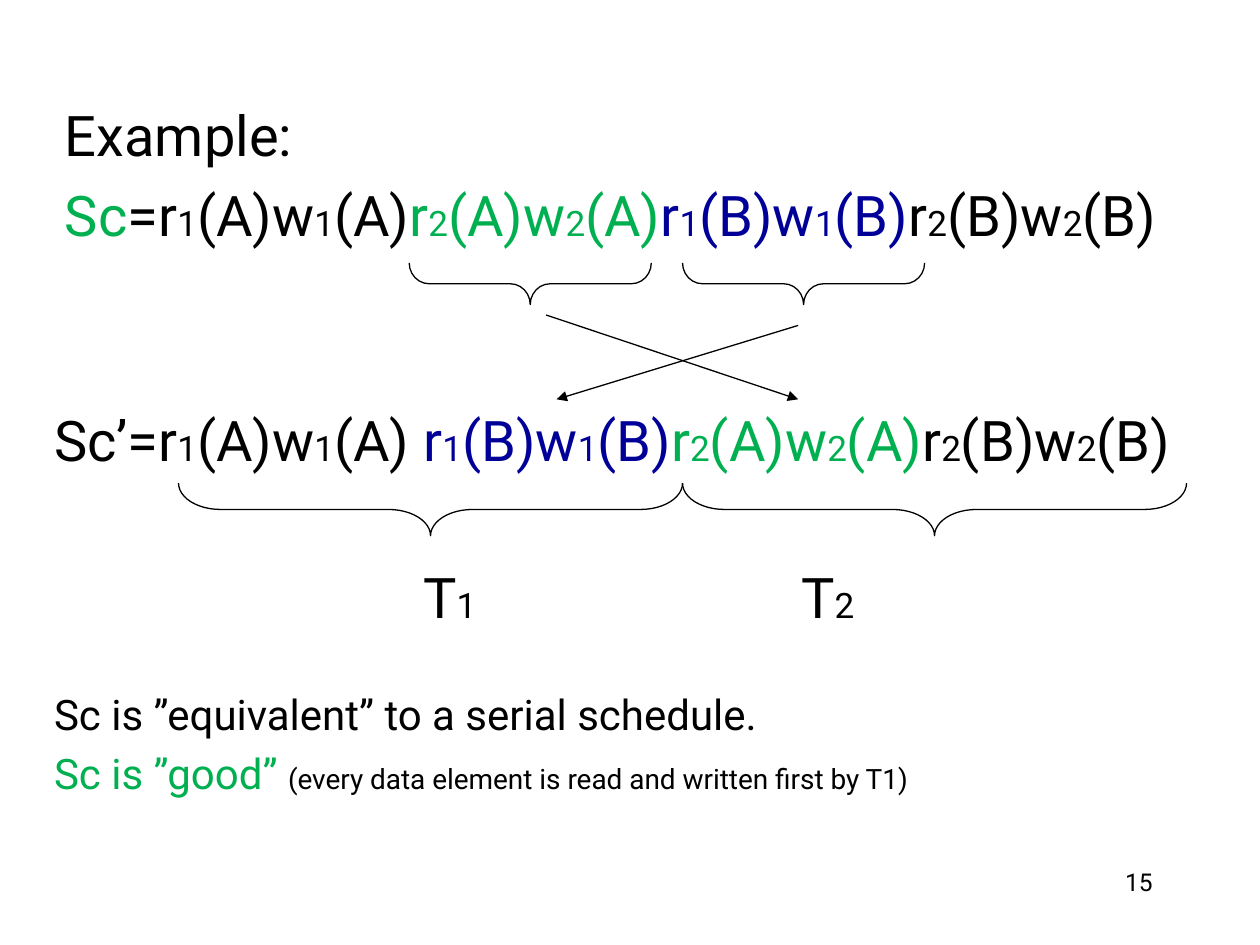
from dataclasses import dataclass

from lxml.etree import SubElement
from pptx import Presentation
from pptx.dml.color import RGBColor as Color
from pptx.enum.shapes import MSO_CONNECTOR as Connector, MSO_SHAPE as Shape
from pptx.enum.text import MSO_ANCHOR as Anchor, PP_ALIGN as Align
from pptx.oxml.ns import qn
from pptx.util import Cm, Pt


@dataclass(frozen=True)
class Theme:
    font: str = "Roboto"
    black: str = "000000"
    green: str = "00B050"
    blue: str = "000099"
    formula: int = 32
    index: int = 20
    body: int = 24
    remark: int = 16
    number: int = 14
    line: float = 0.75
    hanging: float = 0.95


THEME = Theme()


def piece(text, size=THEME.formula, color=THEME.black):
    """One stretch of text with its format."""
    return text, size, color


def indexed(letter, index, color=THEME.black):
    return [piece(letter, color=color), piece(index, THEME.index, color)]


def steps(transaction, element, color=THEME.black):
    """A read and a write of one element by one transaction."""
    pieces = []
    for action in "rw":
        pieces += indexed(action, transaction, color)
        pieces.append(piece(f"({element})", color=color))
    return pieces


class SlideBuilder:
    def __init__(self, page, theme):
        self.page = page
        self.theme = theme

    def text(self, left, top, width, height):
        box = self.page.shapes.add_textbox(Cm(left), Cm(top), Cm(width), Cm(height))
        frame = box.text_frame
        frame.word_wrap = True
        frame.vertical_anchor = Anchor.TOP
        return frame

    def paragraph(self, frame, pieces, before=0, align=Align.LEFT, tabs=()):
        first = not frame.paragraphs[0].runs
        para = frame.paragraphs[0] if first else frame.add_paragraph()
        para.alignment = align
        para.space_before = Pt(before)
        properties = para._p.get_or_add_pPr()
        if tabs:
            stops = SubElement(properties, qn("a:tabLst"))
            for position in tabs:
                SubElement(stops, qn("a:tab"), pos=str(Cm(position)), algn="l")
        else:
            properties.set("marL", str(Cm(self.theme.hanging)))
            properties.set("indent", str(-Cm(self.theme.hanging)))
        for words, size, color in pieces:
            span = para.add_run()
            span.text = words
            span.font.name = self.theme.font
            span.font.size = Pt(size)
            span.font.color.rgb = Color.from_string(color)

    def outline(self, line):
        line.color.rgb = Color.from_string(self.theme.black)
        line.width = Pt(self.theme.line)

    def brace(self, left, top, width, height, curve):
        """A brace pointing down; the preset is turned a quarter."""
        shift = (width - height) / 2
        brace = self.page.shapes.add_shape(
            Shape.LEFT_BRACE, Cm(left + shift), Cm(top - shift), Cm(height), Cm(width))
        brace.rotation = 270
        brace.adjustments[0] = curve
        brace.adjustments[1] = 0.5
        brace.shadow.inherit = False
        brace.fill.background()
        self.outline(brace.line)

    def arrow(self, start, end):
        arrow = self.page.shapes.add_connector(
            Connector.STRAIGHT, *(Cm(value) for value in (*start, *end)))
        self.outline(arrow.line)
        SubElement(arrow.line._get_or_add_ln(), qn("a:tailEnd"), type="triangle")
        SubElement(arrow._element.spPr, qn("a:effectLst"))


def main():
    deck = Presentation()
    deck.slide_width, deck.slide_height = Cm(25.4), Cm(19.05)
    page = deck.slides.add_slide(deck.slide_layouts[6])
    slide = SlideBuilder(page, THEME)

    # Slide number
    number = slide.text(18.21, 17.35, 5.28, 1.27)
    slide.paragraph(number, [piece("15", THEME.number)], align=Align.RIGHT)

    # Serial schedule, its transactions and the conclusion
    serial = slide.text(0.84, 8.05, 23.5, 8.53)
    slide.paragraph(serial, [
        piece("Sc’="), *steps("1", "A"), piece(" "), *steps("1", "B", THEME.blue),
        *steps("2", "A", THEME.green), *steps("2", "B")])
    slide.paragraph(serial, [
        piece("\t"), *indexed("T", "1"), piece("\t"), *indexed("T", "2")],
        before=51.6, tabs=(7.44, 15.06))
    slide.paragraph(serial, [
        piece("Sc is ”equivalent” to a serial schedule.", THEME.body)], before=33.3)
    slide.paragraph(serial, [
        piece("Sc is ”good” ", THEME.body, THEME.green),
        piece("(every data element is read and written first by T1)", THEME.remark)],
        before=5)

    # Braces over the two transactions
    for left in (3.6, 13.76):
        slide.brace(left, 9.74, 10.16, 1.06, curve=0.8)

    # Crossing arrows for the swap
    slide.arrow((16.09, 6.56), (11.22, 8.05))
    slide.arrow((11.01, 6.35), (16.09, 8.05))

    # Original schedule
    example = slide.text(1.06, 1.9, 23.5, 3.6)
    slide.paragraph(example, [piece("Example:")])
    slide.paragraph(example, [
        piece("Sc", color=THEME.green), piece("="), *steps("1", "A"),
        *steps("2", "A", THEME.green), *steps("1", "B", THEME.blue),
        *steps("2", "B")], before=7.5)

    # Braces under the swapped steps
    for left in (8.25, 13.76):
        slide.brace(left, 5.3, 4.88, 0.84, curve=0.48)

    deck.save("out.pptx")


if __name__ == "__main__":
    main()
